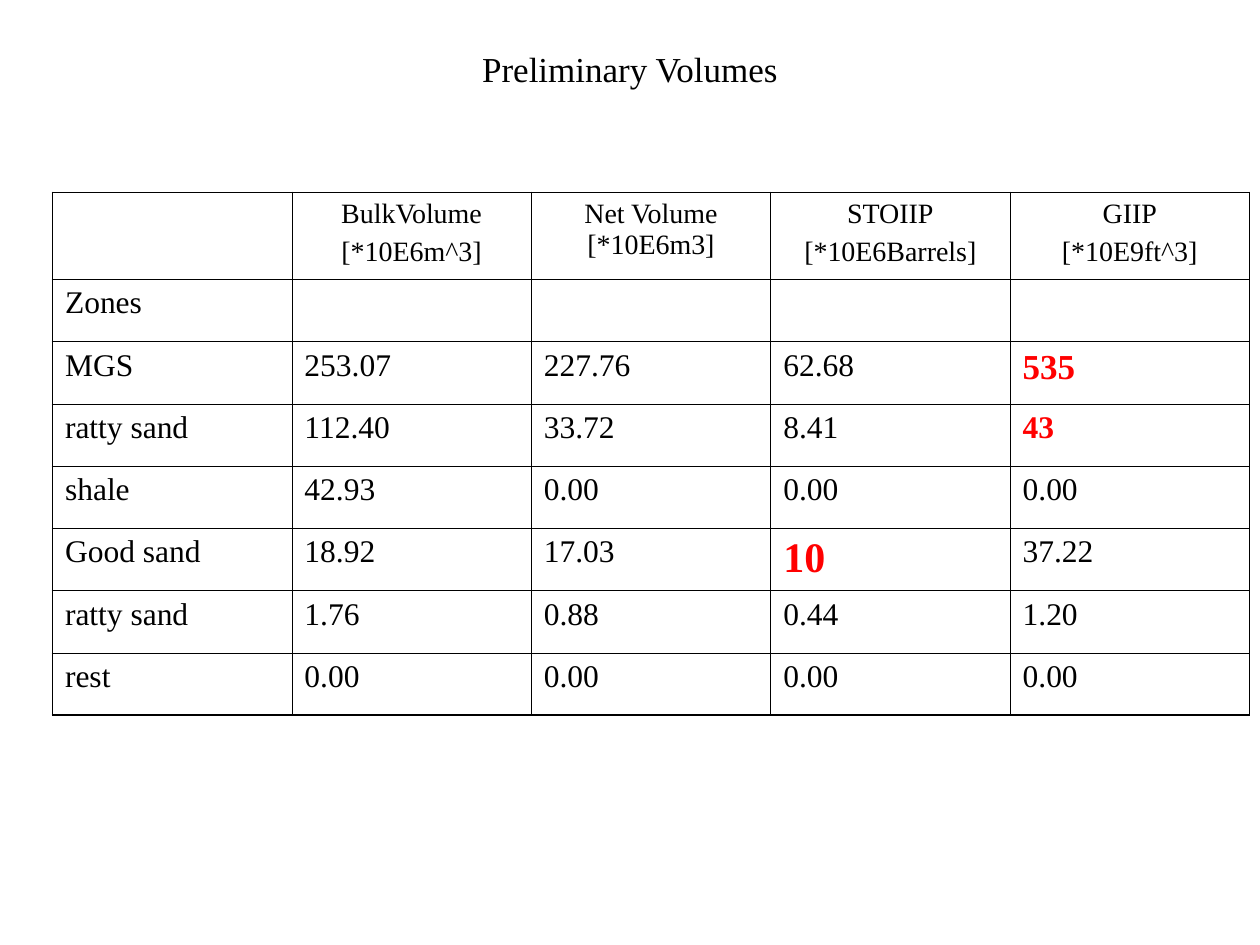
import dataclasses

import pptx
import pptx.dml.color
import pptx.enum.text
import pptx.oxml
import pptx.oxml.ns
import pptx.util

Pt = pptx.util.Pt
PP_ALIGN = pptx.enum.text.PP_ALIGN


@dataclasses.dataclass(frozen=True)
class Theme:
    font: str = "Times New Roman"
    ink: str = "000000"
    accent: str = "FF0000"
    title: int = 20
    header: int = 16
    body: int = 18
    inner_line: float = 0.45
    outer_line: float = 1.08


THEME = Theme()

HEADERS = [
    [],
    ["BulkVolume", "[*10E6m^3]"],
    ["Net Volume [*10E6m3]"],
    ["STOIIP", "[*10E6Barrels]"],
    ["GIIP", "[*10E9ft^3]"],
]
ZONES = [
    ["Zones", "", "", "", ""],
    ["MGS", "253.07", "227.76", "62.68", "535"],
    ["ratty sand", "112.40", "33.72", "8.41", "43"],
    ["shale", "42.93", "0.00", "0.00", "0.00"],
    ["Good sand", "18.92", "17.03", "10", "37.22"],
    ["ratty sand", "1.76", "0.88", "0.44", "1.20"],
    ["rest", "0.00", "0.00", "0.00", "0.00"],
]
# Highlighted values: (row, column) in the table -> type size
HIGHLIGHTS = {(2, 4): 20, (3, 4): 18, (5, 3): 24}

COLUMN_WIDTH = 136.8
HEADER_HEIGHT = 49.7
ROW_HEIGHT = 35.6


def add_run(p, text, size, color=THEME.ink, bold=False):
    r = p.add_run()
    r.text = text
    r.font.name = THEME.font
    r.font.size = Pt(size)
    r.font.bold = bold
    r.font.color.rgb = pptx.dml.color.RGBColor.from_string(color)


def add_title(s, text):
    title = s.shapes.title
    title.left, title.top, title.width, title.height = Pt(54), Pt(18), Pt(612), Pt(42)
    tf = title.text_frame
    tf.auto_size = pptx.enum.text.MSO_AUTO_SIZE.NONE
    tf.vertical_anchor = pptx.enum.text.MSO_ANCHOR.MIDDLE
    p = tf.paragraphs[0]
    p.alignment = PP_ALIGN.CENTER
    add_run(p, text, THEME.title)


def set_borders(cell, outer_sides):
    """Draw all four cell edges, heavier on the outside of the table."""
    tc_pr = cell._tc.get_or_add_tcPr()
    for i, side in enumerate("LRTB"):
        width = THEME.outer_line if side in outer_sides else THEME.inner_line
        tc_pr.insert(i, pptx.oxml.parse_xml(
            f'<a:ln{side} {pptx.oxml.ns.nsdecls("a")} w="{Pt(width)}">'
            f'<a:solidFill><a:srgbClr val="{THEME.ink}"/></a:solidFill></a:ln{side}>'))


def fill_header(cell, lines):
    tf = cell.text_frame
    for i, line in enumerate(lines):
        p = tf.add_paragraph() if i else tf.paragraphs[0]
        p.alignment = PP_ALIGN.CENTER
        if i:
            p.space_before = Pt(4)
        add_run(p, line, THEME.header)


def fill_value(cell, text, highlight_size):
    if not text:
        return
    p = cell.text_frame.paragraphs[0]
    if highlight_size:
        add_run(p, text, highlight_size, THEME.accent, bold=True)
    else:
        add_run(p, text, THEME.body)


def add_volume_table(s):
    n_rows, n_cols = len(ZONES) + 1, len(HEADERS)
    height = HEADER_HEIGHT + ROW_HEIGHT * len(ZONES)
    table = s.shapes.add_table(n_rows, n_cols, Pt(30), Pt(110),
                               Pt(COLUMN_WIDTH * n_cols), Pt(height)).table
    table.first_row = table.horz_banding = False
    for column in table.columns:
        column.width = Pt(COLUMN_WIDTH)

    for i, row in enumerate(table.rows):
        row.height = Pt(ROW_HEIGHT if i else HEADER_HEIGHT)
        for j, cell in enumerate(row.cells):
            cell.fill.background()
            edges = {"L": j == 0, "R": j == n_cols - 1, "T": i == 0, "B": i == n_rows - 1}
            set_borders(cell, [side for side, outer in edges.items() if outer])
            if i == 0:
                fill_header(cell, HEADERS[j])
            else:
                fill_value(cell, ZONES[i - 1][j], HIGHLIGHTS.get((i, j)))


def main():
    prs = pptx.Presentation()
    prs.slide_width, prs.slide_height = Pt(720), Pt(540)
    s = prs.slides.add_slide(prs.slide_layouts[5])  # Title Only
    add_title(s, "Preliminary Volumes")
    add_volume_table(s)
    prs.save("out.pptx")


if __name__ == "__main__":
    main()
